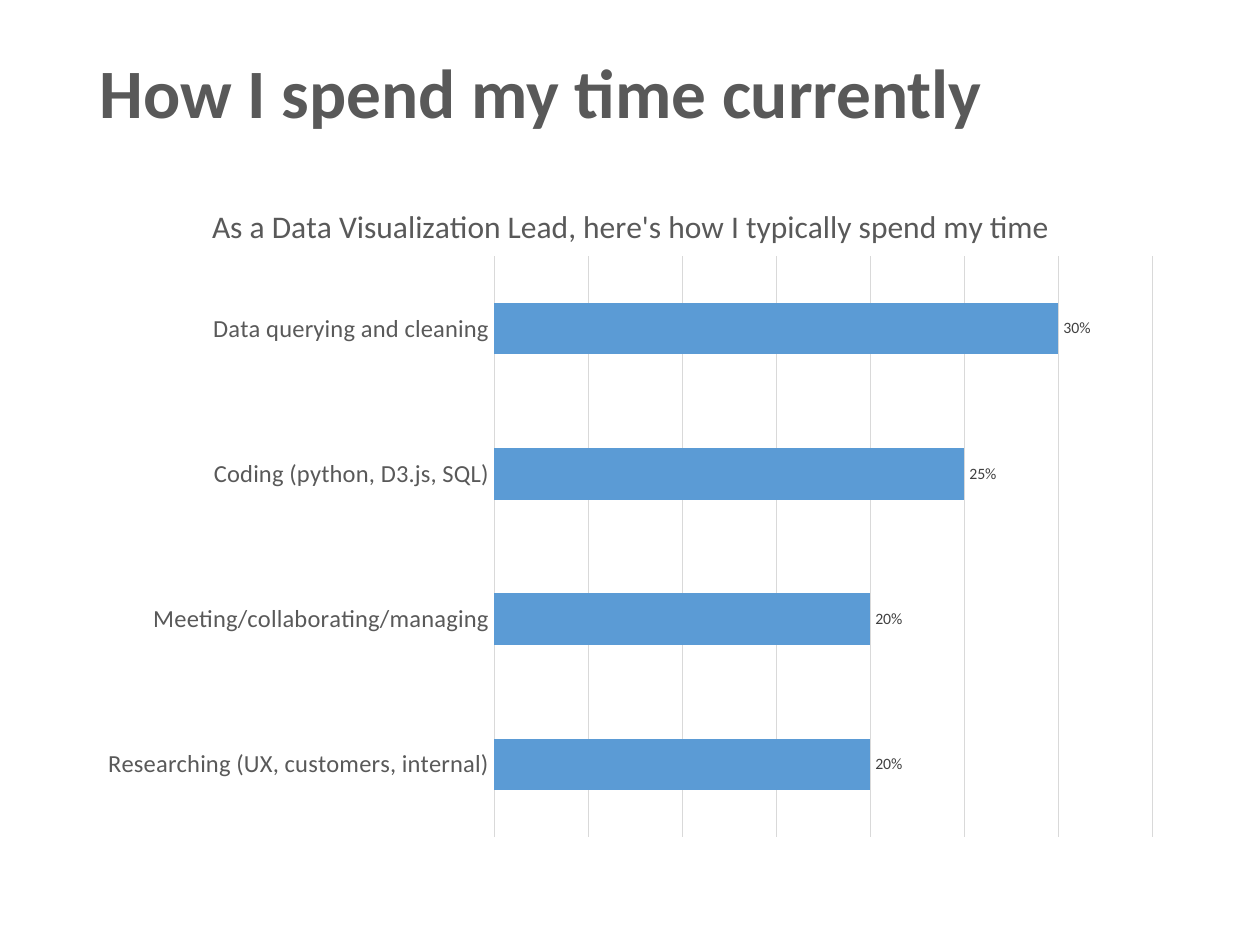
"""Build the slide on how a data visualization lead spends time."""
from dataclasses import dataclass

from lxml import etree
from pptx import Presentation
from pptx import util as u
from pptx.chart import data as chart_data
from pptx.dml.color import RGBColor
from pptx.enum import chart as charts, text
from pptx.oxml.ns import qn


@dataclass(frozen=True)
class Theme:
    """Colours and type sizes of the slide."""
    font: str = "Calibri"
    ink: str = "595959"
    label: str = "404040"
    grid: str = "D9D9D9"
    bar: str = "5B9BD5"
    title_size: float = 39.6
    heading_size: float = 18
    category_size: float = 14
    chart_size: float = 10
    label_size: float = 9


def apply(target, values):
    """Set each named attribute on the target."""
    for name, value in values.items():
        setattr(target, name, value)


def place(parent, index, **parts):
    """Give a chart part a manual layout in fractions of the chart."""
    for old in parent.findall(qn("c:layout")):
        parent.remove(old)
    layout = etree.Element(qn("c:layout"))
    manual = etree.SubElement(layout, qn("c:manualLayout"))
    for name, value in parts.items():
        etree.SubElement(manual, qn(f"c:{name}")).set("val", str(value))
    parent.insert(index, layout)


class SlideBuilder:
    """Hold the theme and current page and draw each kind of element."""

    def __init__(self, deck, theme):
        self.theme = theme
        self.page = deck.slides.add_slide(deck.slide_layouts[5])

    def style(self, font, size, color, bold=False):
        """Format a font in the theme's typeface."""
        apply(font, {"name": self.theme.font, "size": u.Pt(size), "bold": bold})
        font.color.rgb = RGBColor.from_string(color)

    def rule(self, line):
        """Format a thin grid line."""
        line.width = u.Pt(0.75)
        line.color.rgb = RGBColor.from_string(self.theme.grid)

    def title(self, words, left, top, width, height):
        """Move and format the title placeholder."""
        box = self.page.shapes.title
        apply(box, {"left": u.Cm(left), "top": u.Cm(top),
                    "width": u.Cm(width), "height": u.Cm(height)})
        apply(box.text_frame, {"text": words, "word_wrap": True,
                               "auto_size": text.MSO_AUTO_SIZE.NONE,
                               "vertical_anchor": text.MSO_ANCHOR.MIDDLE})
        para = box.text_frame.paragraphs[0]
        apply(para, {"alignment": text.PP_ALIGN.LEFT, "line_spacing": 0.9})
        self.style(para.runs[0].font, self.theme.title_size, self.theme.ink, True)

    def bar_chart(self, heading, shares, left, top, width, height):
        """Add a horizontal bar chart of shares, listed from bottom to top."""
        theme = self.theme
        table = chart_data.CategoryChartData(number_format="0%")
        table.categories = list(shares)
        table.add_series("Series 1", list(shares.values()))
        chart = self.page.shapes.add_chart(
            charts.XL_CHART_TYPE.BAR_CLUSTERED, u.Cm(left), u.Cm(top),
            u.Cm(width), u.Cm(height), table).chart
        self.style(chart.font, theme.chart_size, "000000")
        apply(chart, {"has_legend": False, "has_title": True})
        chart_title = chart.chart_title
        chart_title.text_frame.text = heading
        span = chart_title.text_frame.paragraphs[0].runs[0]
        self.style(span.font, theme.heading_size, theme.ink)
        place(chart_title._element, 1, xMode="edge", yMode="edge", x=0.11, y=0.04)
        place(chart._chartSpace.chart.plotArea, 0, layoutTarget="inner",
              xMode="edge", yMode="edge", x=0.375, y=0.125, w=0.606, h=0.855)
        self.axes(chart)
        self.bars(chart.plots[0])

    def axes(self, chart):
        """Format the category axis and the hidden value axis."""
        none = charts.XL_TICK_MARK.NONE
        category, value = chart.category_axis, chart.value_axis
        apply(category, {"major_tick_mark": none, "minor_tick_mark": none})
        self.style(category.tick_labels.font, self.theme.category_size, self.theme.ink)
        self.rule(category.format.line)
        apply(value, {"visible": False, "has_major_gridlines": True,
                      "minimum_scale": 0, "maximum_scale": 0.35, "major_unit": 0.05})
        self.rule(value.major_gridlines.format.line)

    def bars(self, plot):
        """Format the bars and their value labels."""
        apply(plot, {"gap_width": 182, "vary_by_categories": False})
        series = plot.series[0]
        series.format.fill.solid()
        series.format.fill.fore_color.rgb = RGBColor.from_string(self.theme.bar)
        labels = series.data_labels
        apply(labels, {"show_value": True, "number_format": "0%",
                       "number_format_is_linked": False,
                       "position": charts.XL_LABEL_POSITION.OUTSIDE_END})
        self.style(labels.font, self.theme.label_size, self.theme.label)


def main():
    """Build and save the deck."""
    deck = Presentation()
    apply(deck, {"slide_width": u.Cm(25.4), "slide_height": u.Cm(19.05)})
    builder = SlideBuilder(deck, Theme())
    left, width = 1.75, 21.9
    builder.title("How I spend my time currently", left, 1.02, width, 1.85)
    shares = {
        "Researching (UX, customers, internal)": 0.2,
        "Meeting/collaborating/managing": 0.2,
        "Coding (python, D3.js, SQL)": 0.25,
        "Data querying and cleaning": 0.3,
    }
    builder.bar_chart("As a Data Visualization Lead, here's how I typically spend my time",
                      shares, left, 3.45, width, 13.7)
    deck.save("out.pptx")


if __name__ == "__main__":
    main()
